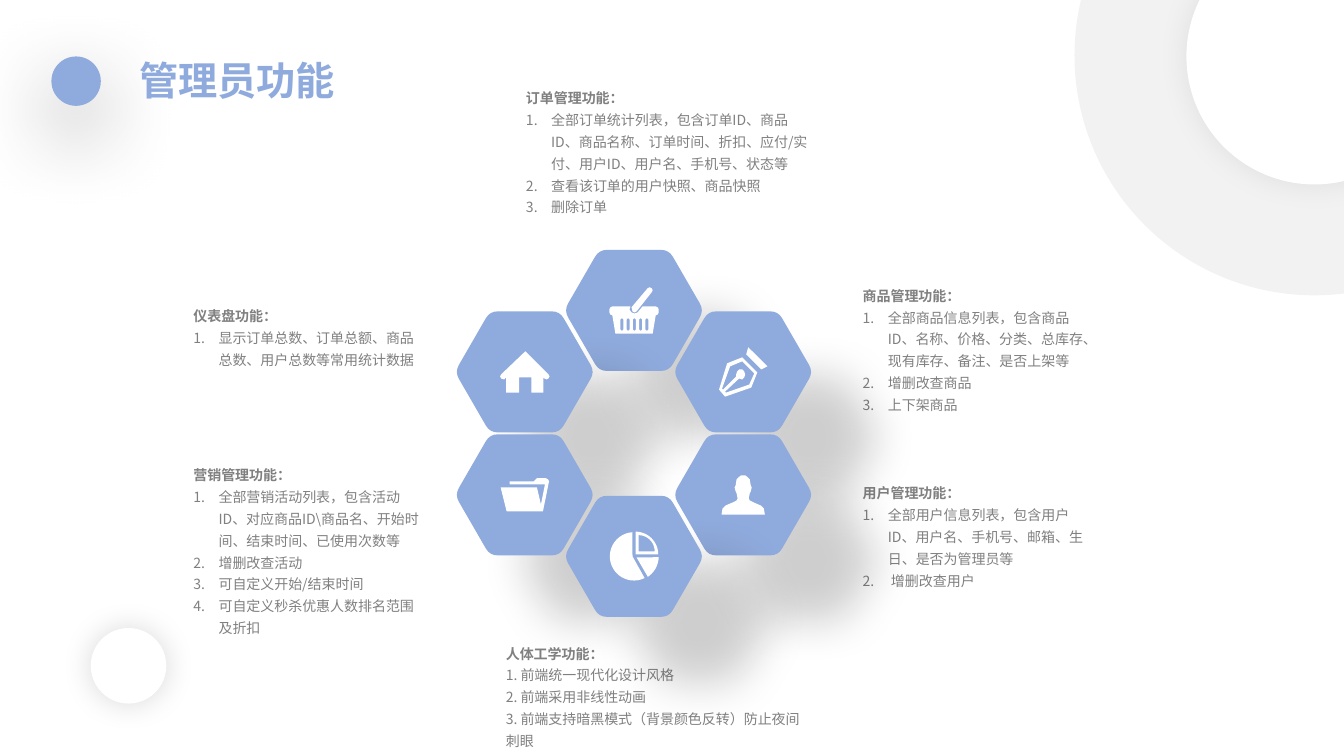
from math import cos, radians, sin

from lxml import etree
from pptx import Presentation
from pptx.dml.color import RGBColor
from pptx.enum.shapes import MSO_SHAPE
from pptx.enum.text import MSO_ANCHOR, MSO_AUTO_SIZE, PP_ALIGN
from pptx.oxml.ns import qn
from pptx.util import Inches, Pt

OVAL = MSO_SHAPE.OVAL
TOP = MSO_ANCHOR.TOP
FIT_SHAPE, NO_FIT = MSO_AUTO_SIZE.SHAPE_TO_FIT_TEXT, MSO_AUTO_SIZE.NONE
LEFT = PP_ALIGN.LEFT

FONT = "Noto Sans CJK SC"
COLORS = {"blue": "8FAADC", "ring": "F2F2F2", "white": "FFFFFF",
          "text": "808080", "black": "000000", "ink": "0D0D0D"}

# The slide is a grid of 40 columns by 22.5 rows of square cells.
COLUMNS, ROWS = 40, 22.5
CELL = Inches(13.333) / COLUMNS
ICON_UNIT = 0.03

# Shadows: colour, opacity in percent, blur and distance in points, direction
SOFT_SHADOW = ("black", 7, 22, 0, 0)
DOT_SHADOW = ("black", 40, 60, 20, 90)
BUBBLE_SHADOW = ("black", 15, 22, 0, 0)
HEXAGON_SHADOW = ("ink", 20, 33, 66, 45)

# Circles: left, top, diameter, colour, shadow
CIRCLES = [
    (31.98, -5.49, 14.28, "ring", None),
    (35.31, -2.13, 7.62, "white", SOFT_SHADOW),
    (1.53, 1.68, 1.47, "blue", DOT_SHADOW),
    (2.7, 18.69, 2.25, "white", BUBBLE_SHADOW),
]

# Captions: box, heading, items, automatic numbering
CAPTIONS = [
    ((15.36, 2.37, 9.12, 4.23), "订单管理功能：",
     ["全部订单统计列表，包含订单ID、商品ID、商品名称、订单时间、折扣、应付/实付、用户ID、用户名、手机号、状态等",
      "查看该订单的用户快照、商品快照", "删除订单"], True),
    ((25.38, 8.25, 7.35, 4.23), "商品管理功能：",
     ["全部商品信息列表，包含商品ID、名称、价格、分类、总库存、现有库存、备注、是否上架等",
      "增删改查商品", "上下架商品"], True),
    ((25.38, 14.13, 7.35, 3.57), "用户管理功能：",
     ["全部用户信息列表，包含用户ID、用户名、手机号、邮箱、生日、是否为管理员等",
      " 增删改查用户"], True),
    ((14.76, 18.9, 9.72, 3.57), "人体工学功能：",
     ["1. 前端统一现代化设计风格", "2. 前端采用非线性动画",
      "3. 前端支持暗黑模式（背景颜色反转）防止夜间刺眼"], False),
    ((5.46, 8.85, 7.53, 2.28), "仪表盘功能：",
     ["显示订单总数、订单总额、商品总数、用户总数等常用统计数据"], True),
    ((5.46, 13.59, 7.53, 5.55), "营销管理功能：",
     ["全部营销活动列表，包含活动ID、对应商品ID\\商品名、开始时间、结束时间、已使用次数等",
      "增删改查活动", "可自定义开始/结束时间", "可自定义秒杀优惠人数排名范围及折扣"], True),
]


def arc(x, y, radius, start, end, steps=24):
    angles = [radians(start + (end - start) * i / steps) for i in range(steps + 1)]
    return [(x + radius * cos(a), y + radius * sin(a)) for a in angles]


def slot(x):
    return [(x, 32), (x + 1, 31), (x + 2, 31), (x + 3, 32),
            (x + 3, 42), (x + 2, 43), (x + 1, 43), (x, 42)]


BASKET = [
    [(25, 25), (23, 24), (22, 20), (38, 1), (40, 0), (42, 1), (43, 3), (42, 5), (27, 24)],
    [(49, 22), (49, 25), (48, 27), (46, 28), (43, 46), (6, 46), (3, 28), (1, 27),
     (0, 25), (0, 22), (1, 20), (3, 19), (21, 19), (20, 22), (22, 25), (25, 26),
     (28, 25), (33, 19), (46, 19), (48, 20)],
    *[slot(11 + 6.2 * i) for i in range(5)],
]
PEN = [
    [(29, 0), (48, 19), (42, 22), (27, 7)],
    [(38, 25), (23, 10), (8, 16), (0, 42), (6, 49), (32, 40)],
    [(7, 45), (6, 44), (20, 31), (23, 32), (25, 30), (26, 27), (25, 24), (23, 22),
     (20, 22), (18, 24), (17, 27), (17, 29), (4, 42), (3, 41), (11, 19), (23, 14),
     (35, 26), (30, 37)],
]
HOME = [[(48, 27), (46, 28), (44, 27), (43, 26), (43, 41), (31, 41), (31, 26), (19, 26),
         (19, 41), (6, 41), (6, 26), (4, 28), (1, 27), (0, 25), (1, 23), (25, 0),
         (48, 23), (49, 25)]]
PROFILE = [(43, 39), (42, 33), (39, 30), (32, 27), (28, 25), (27, 23), (28, 18),
           (29, 16), (30, 12), (29, 10), (28, 4), (26, 2), (23.5, 0)]
USER = [PROFILE + [(43 - x, y) for x, y in reversed(PROFILE)]]
FOLDER = [[(45, 0), (36, 0), (33, 3), (9, 3), (9, 6), (44, 6), (40, 26), (36, 9),
           (0, 9), (6, 33), (42, 33), (48, 3), (47, 1)]]
PIE = [
    [(23, 24)] + arc(24.5, 24, 24, 64, 266),
    [(26, 22)] + arc(26, 22, 22.5, -90, 0),
    [(29, 19)] + arc(29, 19, 16, -90, 0),
    [(27, 25)] + arc(24.5, 24, 24.5, 2, 56),
]

# Hexagons: column and row steps from the centre of the ring, icon
HEXAGONS = [(0, -2, BASKET), (1, -1, PEN), (-1, -1, HOME),
            (1, 1, USER), (-1, 1, FOLDER), (0, 2, PIE)]


def cells(*lengths):
    return [round(length * CELL) for length in lengths]


def paint(shape, color, shadow=None):
    shape.fill.solid()
    shape.fill.fore_color.rgb = RGBColor.from_string(COLORS[color])
    shape.line.fill.background()
    shape.shadow.inherit = False
    if shadow:
        tint, opacity, blur, distance, direction = shadow
        effects = shape.element.spPr.find(qn("a:effectLst"))
        outer = etree.SubElement(effects, qn("a:outerShdw"), blurRad=str(Pt(blur)),
                                 dist=str(Pt(distance)), dir=str(direction * 60000),
                                 algn="ctr", rotWithShape="0")
        base = etree.SubElement(outer, qn("a:srgbClr"), val=COLORS[tint])
        etree.SubElement(base, qn("a:alpha"), val=str(opacity * 1000))


def write(paragraph, text, size=10, color="text", bold=False, spacing=1.3, numbered=False):
    paragraph.alignment = LEFT
    paragraph.line_spacing = spacing
    if numbered:
        properties = paragraph._p.get_or_add_pPr()
        properties.set("marL", str(Inches(0.25)))
        properties.set("indent", str(-Inches(0.25)))
        etree.SubElement(properties, qn("a:buFont"), typeface="+mj-lt")
        etree.SubElement(properties, qn("a:buAutoNum"), type="arabicPeriod")
    run = paragraph.add_run()
    run.text = text
    run.font.size, run.font.bold, run.font.name = Pt(size), bold, FONT
    run.font.color.rgb = RGBColor.from_string(COLORS[color])
    etree.SubElement(run.font._element, qn("a:ea"), typeface=FONT)


def draw_outline(shapes, contours, color, shadow=None):
    """Draw closed contours, given in cells, as one shape."""
    outlines = [[cells(*point) for point in contour] for contour in contours]
    builder = shapes.build_freeform(*outlines[0][0], scale=1.0)
    for index, (start, *rest) in enumerate(outlines):
        if index:
            builder.move_to(*start)
        builder.add_line_segments(rest, close=True)
    paint(builder.convert_to_shape(), color, shadow)


def add_circles(shapes):
    for left, top, diameter, color, shadow in CIRCLES:
        circle = shapes.add_shape(OVAL, *cells(left, top, diameter, diameter))
        paint(circle, color, shadow)


def add_title(shapes, box, text):
    title = shapes.title
    title.left, title.top, title.width, title.height = cells(*box)
    title.text_frame.vertical_anchor = TOP
    title.text_frame.auto_size = NO_FIT
    write(title.text_frame.paragraphs[0], text, size=28, color="blue", bold=True, spacing=1.0)
    title.element.getparent().append(title.element)  # in front of the dot's shadow


def add_caption(shapes, box, heading, items, numbered):
    frame = shapes.add_textbox(*cells(*box)).text_frame
    frame.word_wrap = True
    frame.auto_size = FIT_SHAPE
    write(frame.paragraphs[0], heading, bold=True)
    for item in items:
        write(frame.add_paragraph(), item, numbered=numbered)


def rounded_hexagon(x, y, radius=2.08, rounding=0.24):
    corners = arc(x, y, radius, 0, 300, steps=5)
    share = rounding / radius
    points = []
    for i, corner in enumerate(corners):
        before, after = corners[i - 1], corners[(i + 1) % 6]
        for t in (0, 0.25, 0.5, 0.75, 1):
            back, ahead = share * (1 - t) ** 2, share * t ** 2
            points.append([c + back * (b - c) + ahead * (a - c)
                           for b, c, a in zip(before, corner, after)])
    return points


def centred_icon(icon, x, y):
    width, height = (max(p[axis] for contour in icon for p in contour) for axis in (0, 1))
    return [[(x + (px - width / 2) * ICON_UNIT, y + (py - height / 2) * ICON_UNIT)
             for px, py in contour] for contour in icon]


def add_hexagon_ring(shapes, x, y, column=3.25, row=1.83):
    centres = [(x + across * column, y + down * row, icon) for across, down, icon in HEXAGONS]
    for cx, cy, _ in centres:
        draw_outline(shapes, [rounded_hexagon(cx, cy)], "blue", HEXAGON_SHADOW)
    for cx, cy, icon in centres:
        draw_outline(shapes, centred_icon(icon, cx, cy), "white")


def main():
    deck = Presentation()
    deck.slide_width, deck.slide_height = cells(COLUMNS, ROWS)
    shapes = deck.slides.add_slide(deck.slide_layouts[5]).shapes
    add_circles(shapes)
    add_title(shapes, (3.84, 1.53, 10.68, 1.71), "管理员功能")
    for caption in CAPTIONS:
        add_caption(shapes, *caption)
    add_hexagon_ring(shapes, 18.87, 12.9)
    deck.save("out.pptx")


if __name__ == "__main__":
    main()
